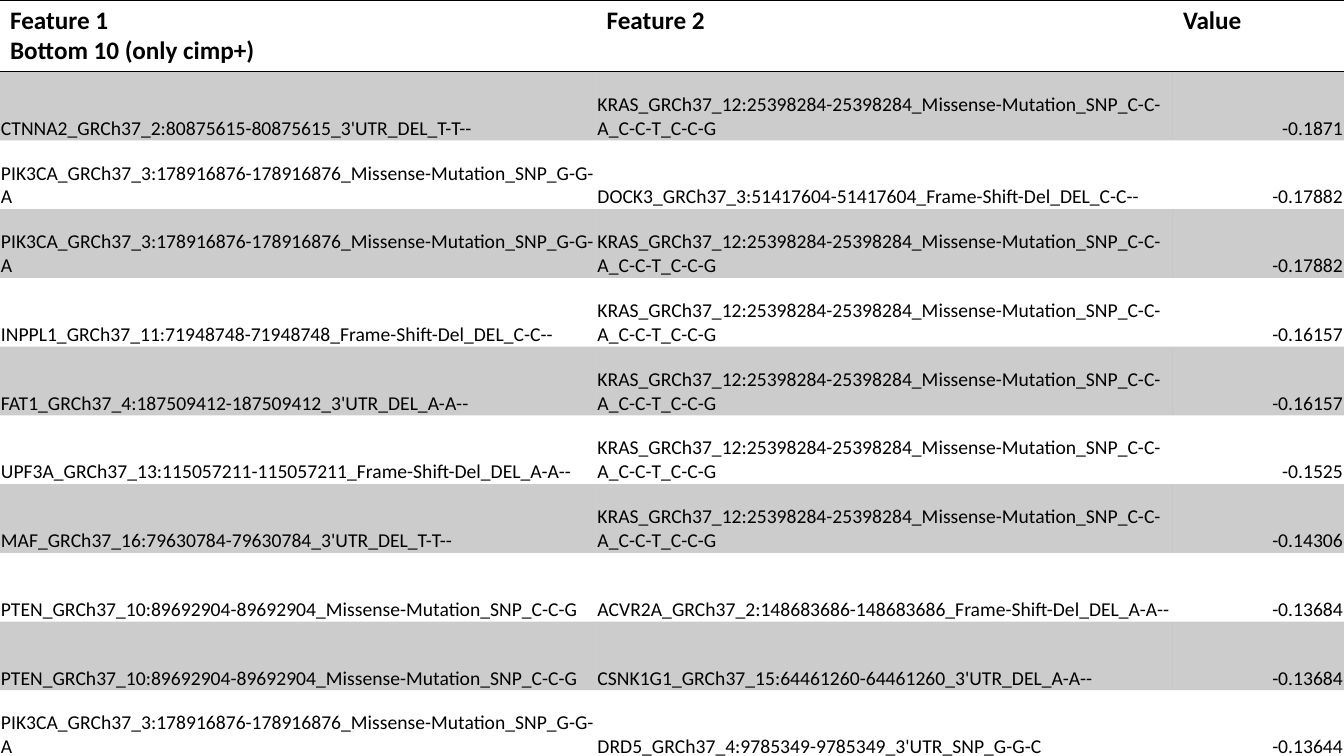
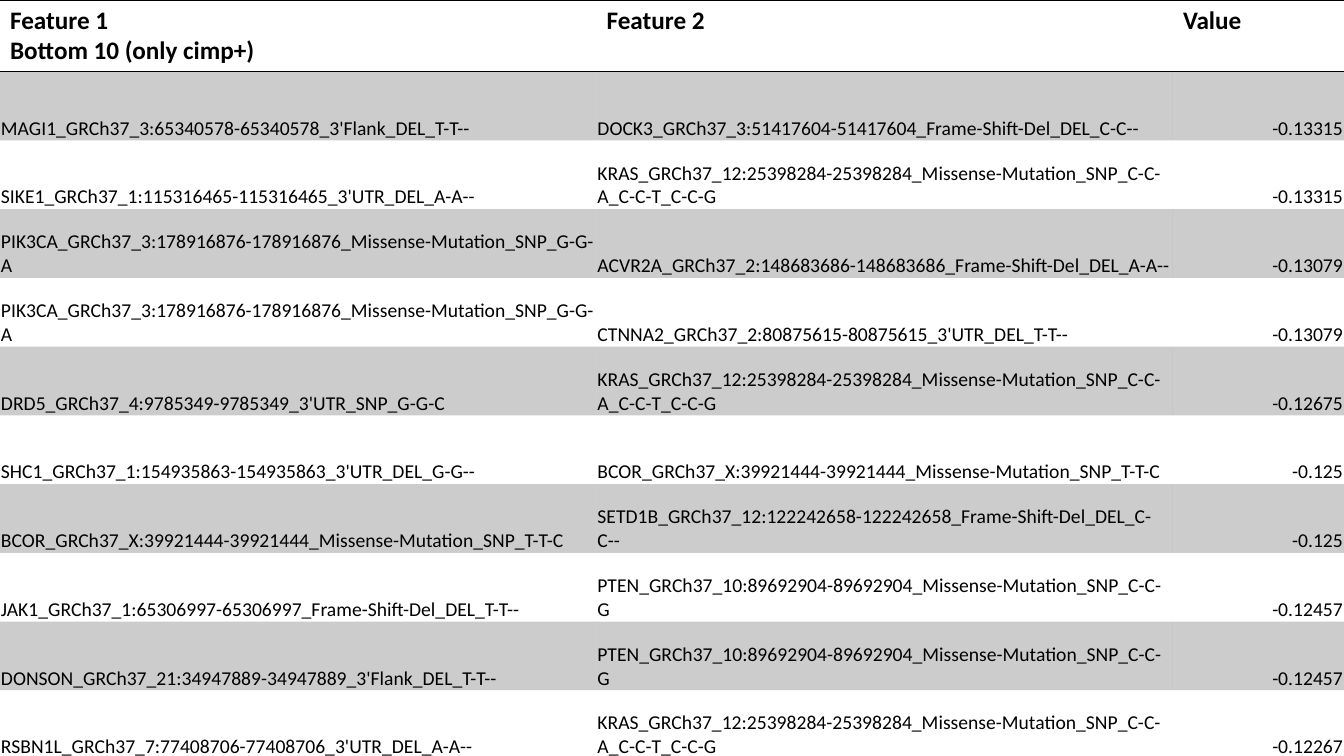
from lxml.etree import SubElement
from pptx import Presentation
from pptx.dml.color import RGBColor
from pptx.enum.text import MSO_ANCHOR, PP_ALIGN
from pptx.oxml import parse_xml
from pptx.oxml.ns import nsdecls, qn
from pptx.util import Pt

BLACK = "000000"
FONT = "Calibri"
NO_STYLE = "{2D5ABB26-0587-4C30-8999-92F81FD0307C}"
BAND_OPACITY = 20
COLUMN_WIDTHS = [426.1, 411.8, 122.1]
ROW_HEIGHT = 49.1
HEADERS = [["Feature 1", "Bottom 10 (only cimp+)"], ["Feature 2"], ["Value"]]

KRAS = "KRAS_GRCh37_12:25398284-25398284_Missense-Mutation_SNP_C-C-A_C-C-T_C-C-G"
PIK3CA = "PIK3CA_GRCh37_3:178916876-178916876_Missense-Mutation_SNP_G-G-A"
PTEN = "PTEN_GRCh37_10:89692904-89692904_Missense-Mutation_SNP_C-C-G"
CTNNA2 = "CTNNA2_GRCh37_2:80875615-80875615_3'UTR_DEL_T-T--"
DOCK3 = "DOCK3_GRCh37_3:51417604-51417604_Frame-Shift-Del_DEL_C-C--"
ACVR2A = "ACVR2A_GRCh37_2:148683686-148683686_Frame-Shift-Del_DEL_A-A--"
DRD5 = "DRD5_GRCh37_4:9785349-9785349_3'UTR_SNP_G-G-C"
BCOR = "BCOR_GRCh37_X:39921444-39921444_Missense-Mutation_SNP_T-T-C"

FEATURE_PAIRS = [
    [
        (CTNNA2, KRAS, "-0.1871"),
        (PIK3CA, DOCK3, "-0.17882"),
        (PIK3CA, KRAS, "-0.17882"),
        ("INPPL1_GRCh37_11:71948748-71948748_Frame-Shift-Del_DEL_C-C--", KRAS, "-0.16157"),
        ("FAT1_GRCh37_4:187509412-187509412_3'UTR_DEL_A-A--", KRAS, "-0.16157"),
        ("UPF3A_GRCh37_13:115057211-115057211_Frame-Shift-Del_DEL_A-A--", KRAS, "-0.1525"),
        ("MAF_GRCh37_16:79630784-79630784_3'UTR_DEL_T-T--", KRAS, "-0.14306"),
        (PTEN, ACVR2A, "-0.13684"),
        (PTEN, "CSNK1G1_GRCh37_15:64461260-64461260_3'UTR_DEL_A-A--", "-0.13684"),
        (PIK3CA, DRD5, "-0.13644"),
    ],
    [
        ("MAGI1_GRCh37_3:65340578-65340578_3'Flank_DEL_T-T--", DOCK3, "-0.13315"),
        ("SIKE1_GRCh37_1:115316465-115316465_3'UTR_DEL_A-A--", KRAS, "-0.13315"),
        (PIK3CA, ACVR2A, "-0.13079"),
        (PIK3CA, CTNNA2, "-0.13079"),
        (DRD5, KRAS, "-0.12675"),
        ("SHC1_GRCh37_1:154935863-154935863_3'UTR_DEL_G-G--", BCOR, "-0.125"),
        (BCOR, "SETD1B_GRCh37_12:122242658-122242658_Frame-Shift-Del_DEL_C-C--", "-0.125"),
        ("JAK1_GRCh37_1:65306997-65306997_Frame-Shift-Del_DEL_T-T--", PTEN, "-0.12457"),
        ("DONSON_GRCh37_21:34947889-34947889_3'Flank_DEL_T-T--", PTEN, "-0.12457"),
        ("RSBN1L_GRCh37_7:77408706-77408706_3'UTR_DEL_A-A--", KRAS, "-0.12267"),
    ],
]


def color(value):
    return RGBColor.from_string(value)


def add_borders(cell, sides):
    properties = cell._tc.get_or_add_tcPr()
    for position, side in enumerate(sides):
        border = parse_xml(
            f'<a:ln{side} {nsdecls("a")} w="{Pt(1)}"><a:solidFill>'
            f'<a:srgbClr val="{BLACK}"/></a:solidFill></a:ln{side}>'
        )
        properties.insert(position, border)


presentation = Presentation()
presentation.slide_width = Pt(960)
presentation.slide_height = Pt(540)

for pairs in FEATURE_PAIRS:
    slide = presentation.slides.add_slide(presentation.slide_layouts[6])
    rows = [HEADERS] + [[[text] for text in pair] for pair in pairs]
    frame = slide.shapes.add_table(
        len(rows), len(COLUMN_WIDTHS), Pt(0), Pt(0), Pt(960), Pt(ROW_HEIGHT * len(rows))
    )
    table = frame.table
    table._tbl.tblPr.find(qn("a:tableStyleId")).text = NO_STYLE
    for column, width in zip(table.columns, COLUMN_WIDTHS):
        column.width = Pt(width)

    for row_index, row in enumerate(rows):
        table.rows[row_index].height = Pt(ROW_HEIGHT)
        is_header = row_index == 0
        for column_index, lines in enumerate(row):
            cell = table.cell(row_index, column_index)
            if row_index % 2:
                cell.fill.solid()
                cell.fill.fore_color.rgb = color(BLACK)
                fill_color = cell._tc.tcPr.find(".//" + qn("a:srgbClr"))
                SubElement(fill_color, qn("a:alpha"), val=str(BAND_OPACITY * 1000))
            else:
                cell.fill.background()

            if is_header:
                add_borders(cell, "TB")
            else:
                cell.vertical_anchor = MSO_ANCHOR.BOTTOM
                cell.margin_left = cell.margin_right = cell.margin_top = Pt(0.7)
                cell.margin_bottom = Pt(0)
            if row_index == len(rows) - 1:
                add_borders(cell, "B")

            for line_index, line in enumerate(lines):
                text_frame = cell.text_frame
                paragraph = text_frame.add_paragraph() if line_index else text_frame.paragraphs[0]
                if column_index == 2 and not is_header:
                    paragraph.alignment = PP_ALIGN.RIGHT
                run = paragraph.add_run()
                run.text = line
                run.font.name = FONT
                run.font.size = Pt(18 if is_header else 14)
                run.font.bold = is_header
                run.font.color.rgb = color(BLACK)

presentation.save("out.pptx")
